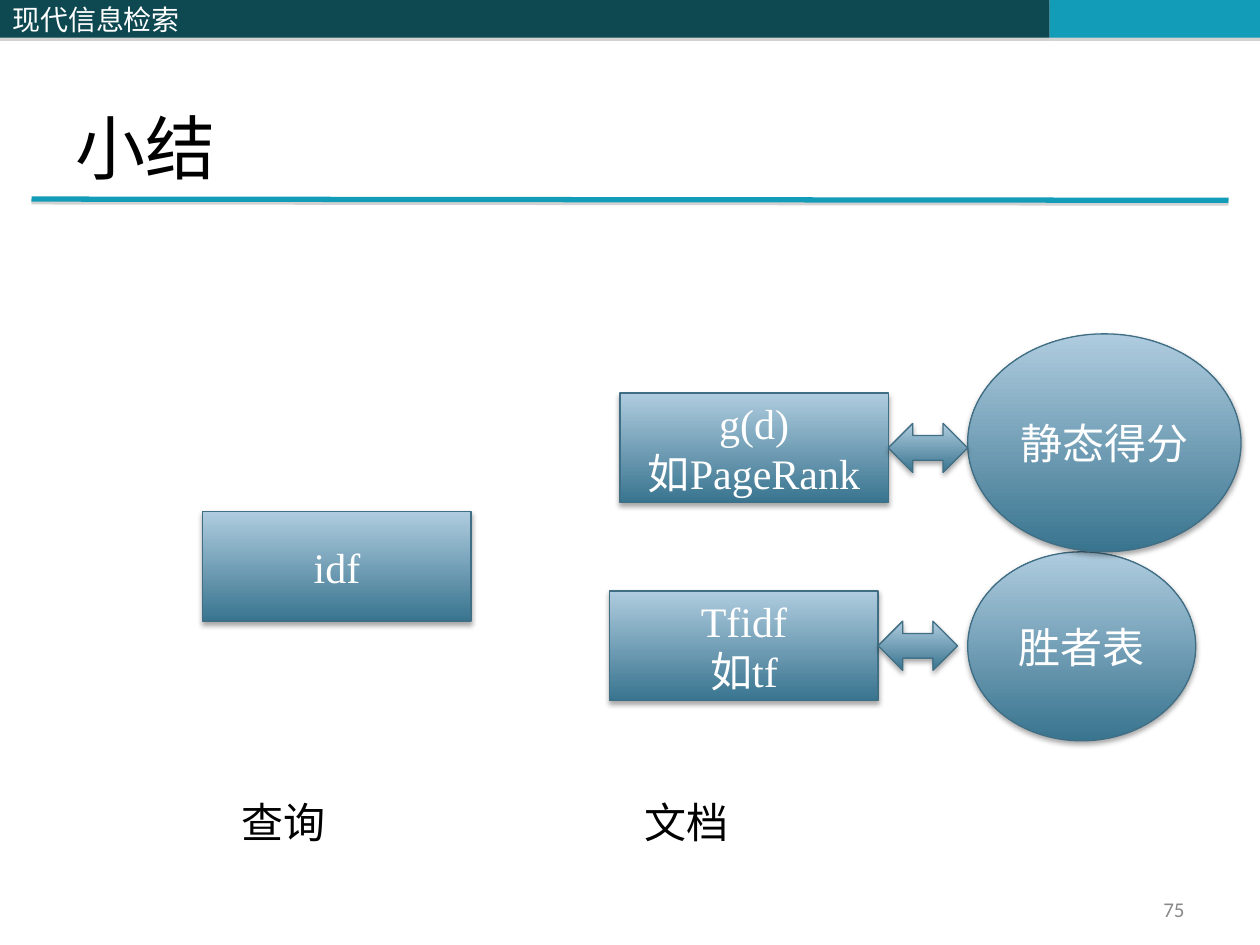
from lxml import etree
from pptx import Presentation, util as u
from pptx.dml.color import RGBColor
from pptx.enum import shapes, text
from pptx.oxml import ns

DARK = RGBColor(0x0E, 0x48, 0x51)
TEAL = RGBColor(0x13, 0x9C, 0xB7)
DEEP = RGBColor(0x39, 0x74, 0x8F)
PALE = RGBColor(0xAF, 0xCC, 0xDF)
EDGE = RGBColor(0x40, 0x6E, 0x84)
GRAY = RGBColor(0x89, 0x89, 0x89)
SHADE = RGBColor(0x80, 0x80, 0x80)
BLACK = RGBColor(0, 0, 0)
WHITE = RGBColor(255, 255, 255)
SERIF, SANS, HAN = "Times New Roman", "Noto Sans", "Noto Sans CJK SC"
KIND, ALIGN, ANCHOR = shapes.MSO_SHAPE, text.PP_ALIGN, text.MSO_ANCHOR


class Deck:
    """Draws styled elements on a slide ruled into 100 columns and 75 rows."""

    def __init__(self):
        self.prs = Presentation()
        self.prs.slide_width, self.prs.slide_height = u.Inches(10), u.Inches(7.5)
        self.col = self.prs.slide_width / 100
        self.row = self.prs.slide_height / 75
        self.slide = self.prs.slides.add_slide(self.prs.slide_layouts[5])

    def place(self, x, y, w, h):
        return [round(n * s) for n, s in zip((x, y, w, h), (self.col, self.row) * 2)]

    def cast(self, item, color, blur, dist):
        fx = etree.SubElement(item._element.spPr, ns.qn("a:effectLst"))
        glow = etree.SubElement(fx, ns.qn("a:outerShdw"), blurRad=str(u.Pt(blur)),
                                dist=str(u.Pt(dist)), dir="5400000", rotWithShape="0")
        tint = etree.SubElement(glow, ns.qn("a:srgbClr"), val=str(color))
        etree.SubElement(tint, ns.qn("a:alpha"), val="35000")

    def letter(self, item, words, size, font, color, align=ALIGN.LEFT, anchor=ANCHOR.MIDDLE):
        frame = item.text_frame
        frame.text = words
        frame.word_wrap = True
        frame.auto_size = text.MSO_AUTO_SIZE.NONE
        frame.vertical_anchor = anchor
        for para in frame.paragraphs:
            para.alignment = align
            for run in para.runs:
                run.font.size, run.font.name = u.Pt(size), font
                run.font.color.rgb = color
                etree.SubElement(run.font._element, ns.qn("a:ea"), typeface=HAN)

    def title(self, words, *box):
        item = self.slide.shapes.title
        item.left, item.top, item.width, item.height = self.place(*box)
        self.letter(item, words, 40, SERIF, BLACK, anchor=ANCHOR.BOTTOM)

    def band(self, color, *box, words=""):
        item = self.slide.shapes.add_shape(KIND.RECTANGLE, *self.place(*box))
        item.fill.solid()
        item.fill.fore_color.rgb = color
        item.line.fill.background()
        self.cast(item, SHADE, 0, 1.8)
        if words:
            self.letter(item, words, 16, HAN, WHITE)

    def rule(self, *ends):
        item = self.slide.shapes.add_connector(shapes.MSO_CONNECTOR.STRAIGHT, *self.place(*ends))
        item.line.color.rgb, item.line.width = TEAL, u.Pt(3)
        self.cast(item, SHADE, 0, 1.6)

    def node(self, kind, *box, words=""):
        item = self.slide.shapes.add_shape(kind, *self.place(*box))
        item.fill.gradient()
        item.fill.gradient_angle = 90
        for stop, color in zip(item.fill.gradient_stops, (DEEP, PALE)):
            stop.color.rgb = color
        item.line.color.rgb, item.line.width = EDGE, u.Pt(0.75)
        self.cast(item, BLACK, 3.1, 1.8)
        if words:
            self.letter(item, words, 24, SERIF, WHITE, ALIGN.CENTER)

    def label(self, words, *box, size=24, font=SANS, color=BLACK, align=ALIGN.LEFT):
        item = self.slide.shapes.add_textbox(*self.place(*box))
        self.letter(item, words, size, font, color, align)


def main():
    deck = Deck()
    deck.band(DARK, 40.8, 0, 42.5, 3)
    deck.band(TEAL, 83.3, 0, 16.7, 3)
    deck.rule(2.5, 15.8, 97.5, 15.9)
    deck.band(DARK, 0, 0, 40.8, 3, words="现代信息检索")
    deck.title("小结", 5, 3, 90, 12.5)
    deck.label("75", 71.7, 70.8, 23.3, 2.7, size=12, font="Calibri", color=GRAY, align=ALIGN.RIGHT)
    for x, y, words in ((49.2, 31.2, "g(d)\n如PageRank"), (48.4, 46.9, "Tfidf\n如tf"),
                        (16.1, 40.6, "idf")):
        deck.node(KIND.RECTANGLE, x, y, 21.3, 8.7, words=words)
    for x, words in ((18.2, "查询"), (50.2, "文档")):
        deck.label(words, x, 62.7, 12, 5)
    deck.node(KIND.OVAL, 76.8, 43.8, 18.1, 15, words="胜者表")
    deck.node(KIND.OVAL, 76.8, 26.5, 21.7, 17.3, words="静态得分")
    for x, y in ((69.7, 49.3), (70.5, 33.6)):
        deck.node(KIND.LEFT_RIGHT_ARROW, x, y, 6.3, 3.9)
    deck.prs.save("out.pptx")


if __name__ == "__main__":
    main()
